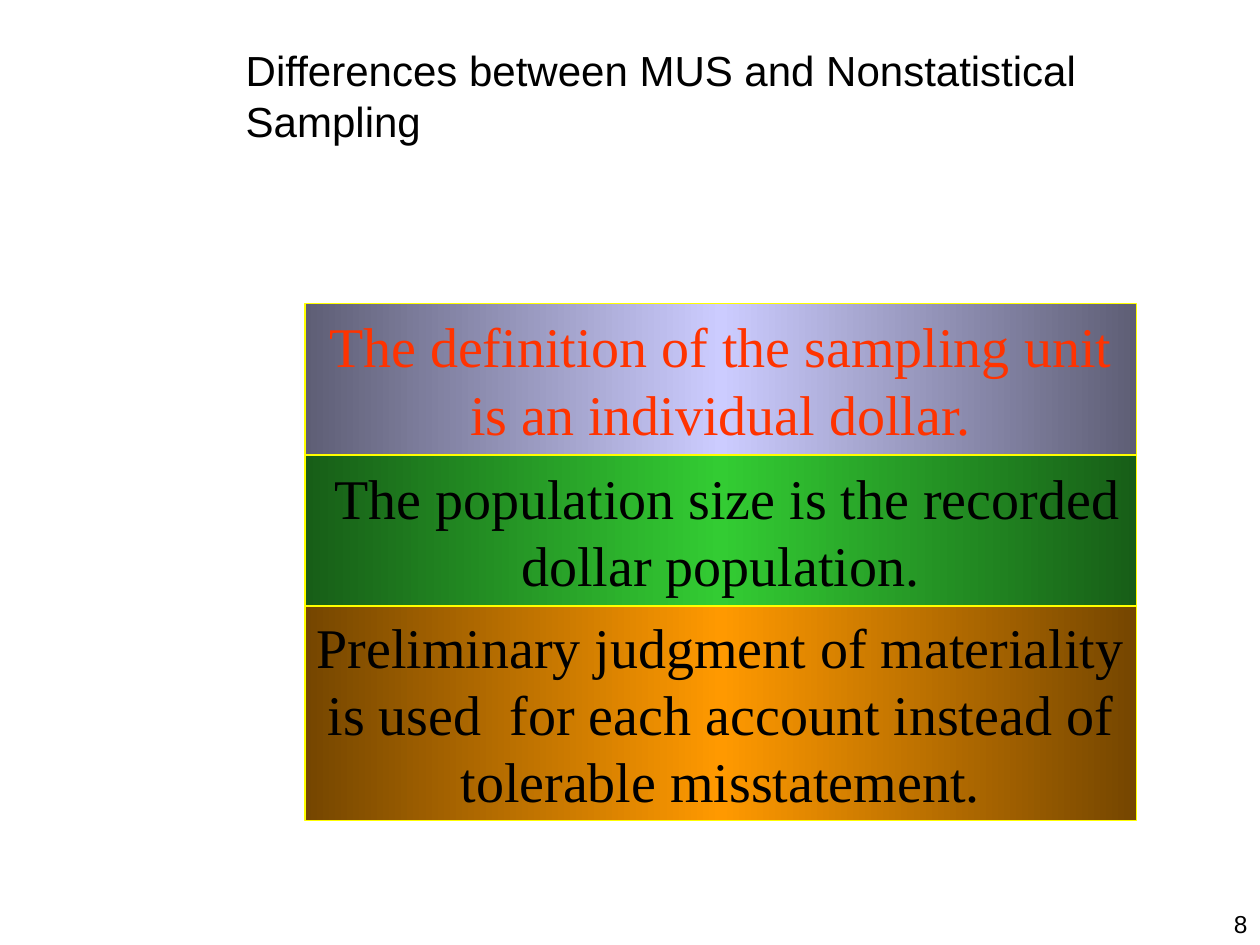
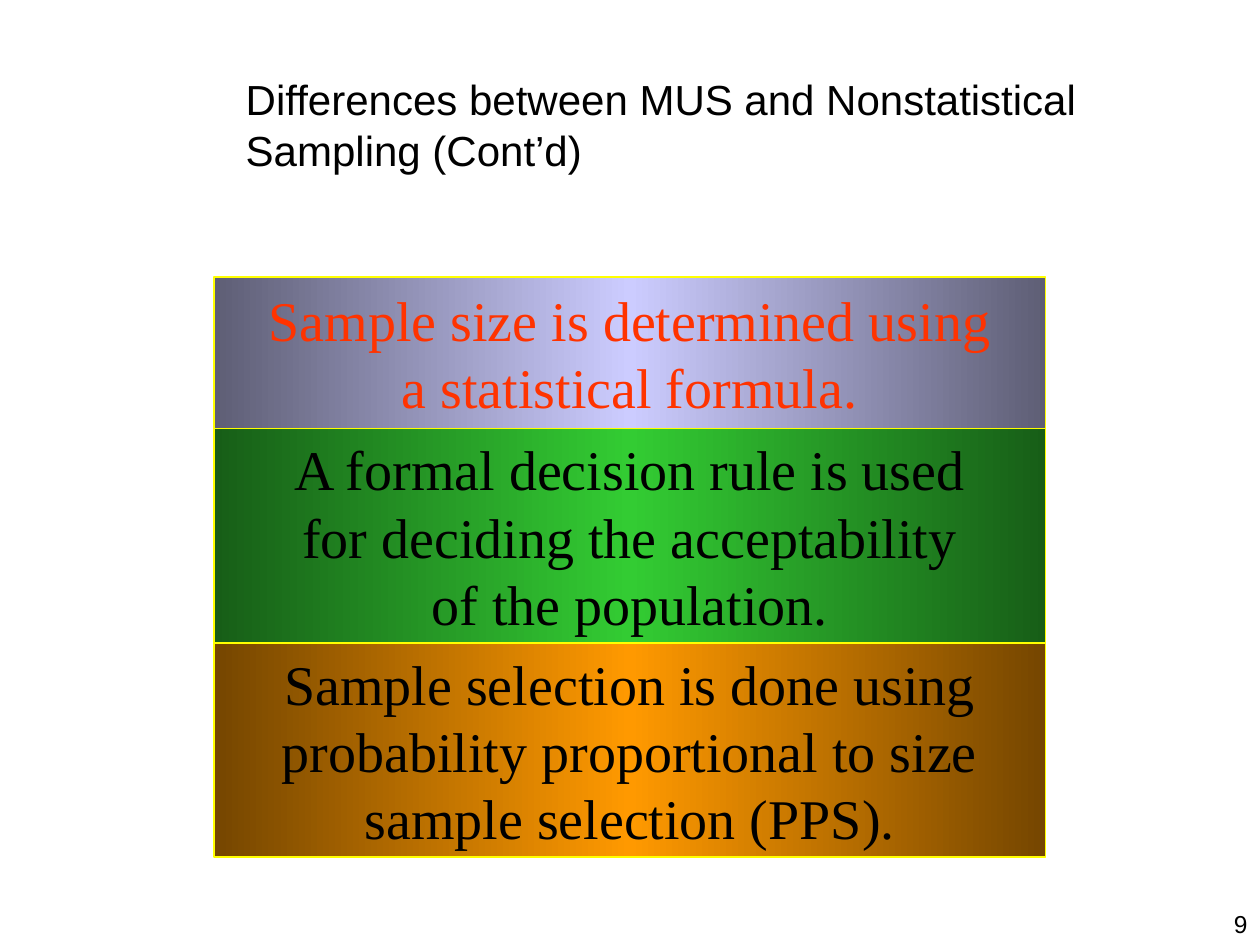
"""Build two slides on how monetary unit sampling differs from nonstatistical sampling."""
import copy

import pptx
import pptx.dml.color
import pptx.enum.shapes
import pptx.enum.text
import pptx.oxml.ns
import pptx.util

Cm = pptx.util.Cm
Pt = pptx.util.Pt
PP_ALIGN = pptx.enum.text.PP_ALIGN
MSO_ANCHOR = pptx.enum.text.MSO_ANCHOR

COLORS = {
    "black": "000000",
    "red": "FF3300",
    "border": "FFFF00",
    "lavender": "CCCCFF",
    "lavender_edge": "5E5E75",
    "green": "33CC33",
    "green_edge": "175E17",
    "orange": "FF9900",
    "orange_edge": "754600",
}
BAND_STYLES = [("lavender", "red"), ("green", "black"), ("orange", "black")]
BAND_WIDTH = 16.76
BAND_PADDING = 0.51
BAND_LINE_HEIGHT = 1.27
TITLE_ONLY_LAYOUT = 5

SLIDES = [
    {
        "title": "Differences between MUS and Nonstatistical Sampling",
        "title_box": (4.7, 0.33, 19.18, 3.18),
        "bands_at": (6.15, 6.12),
        "differences": [
            ["The definition of the sampling unit", "is an individual dollar."],
            [" The population size is the recorded", "dollar population."],
            ["Preliminary judgment of materiality",
             "is used  for each account instead of",
             "tolerable misstatement."],
        ],
        "number": "8",
    },
    {
        "title": "Differences between MUS and Nonstatistical Sampling (Cont’d)",
        "title_box": (4.7, 0.91, 19.81, 3.18),
        "bands_at": (4.32, 5.59),
        "differences": [
            ["Sample size is determined using", "a statistical formula."],
            ["A formal decision rule is used",
             "for deciding the acceptability",
             "of the population."],
            ["Sample selection is done using",
             "probability proportional to size",
             "sample selection (PPS)."],
        ],
        "number": "9",
    },
]


def rgb(name):
    """Return the named palette colour."""
    return pptx.dml.color.RGBColor.from_string(COLORS[name])


def write_lines(frame, lines, font, size, color, align):
    """Fill a text frame with one paragraph for each line."""
    for index, line in enumerate(lines):
        paragraph = frame.add_paragraph() if index else frame.paragraphs[0]
        paragraph.alignment = align
        run = paragraph.add_run()
        run.text = line
        run.font.name = font
        run.font.size = Pt(size)
        run.font.color.rgb = rgb(color)


def set_title(slide, text, box):
    """Place and format the title placeholder."""
    title = slide.shapes.title
    title.left, title.top, title.width, title.height = map(Cm, box)
    frame = title.text_frame
    frame.word_wrap = True
    frame.auto_size = pptx.enum.text.MSO_AUTO_SIZE.NONE
    frame.vertical_anchor = MSO_ANCHOR.MIDDLE
    write_lines(frame, [text], "Arial", 24, "black", PP_ALIGN.LEFT)


def shade_band(band, color):
    """Apply a horizontal gradient that is brightest in the middle."""
    band.fill.gradient()
    band.fill.gradient_angle = 0
    stop_list = band.fill._xPr.find(".//" + pptx.oxml.ns.qn("a:gsLst"))
    stop_list.insert(1, copy.deepcopy(stop_list[0]))
    shades = [color + "_edge", color, color + "_edge"]
    for stop, position, shade in zip(band.fill.gradient_stops, (0, 0.5, 1), shades):
        stop.position = position
        stop.color.rgb = rgb(shade)


def add_band(slide, left, top, height, lines, color, text_color):
    """Add one bordered band that states a difference."""
    band = slide.shapes.add_shape(
        pptx.enum.shapes.MSO_SHAPE.RECTANGLE,
        Cm(left), Cm(top), Cm(BAND_WIDTH), Cm(height))
    band.shadow.inherit = False
    shade_band(band, color)
    band.line.color.rgb = rgb("border")
    band.line.width = Pt(1)
    frame = band.text_frame
    frame.word_wrap = False
    frame.vertical_anchor = MSO_ANCHOR.MIDDLE
    write_lines(frame, lines, "Times New Roman", 32, text_color, PP_ALIGN.CENTER)


def add_bands(slide, left, top, differences):
    """Stack the bands, each as tall as its number of lines needs."""
    for lines, (color, text_color) in zip(differences, BAND_STYLES):
        height = BAND_PADDING + BAND_LINE_HEIGHT * len(lines)
        add_band(slide, left, top, height, lines, color, text_color)
        top += height


def add_page_number(slide, number):
    """Add the page number in the bottom right corner."""
    corner = slide.shapes.add_textbox(Cm(20.12), Cm(18.21), Cm(5.28), Cm(0.84))
    corner.text_frame.word_wrap = True
    write_lines(corner.text_frame, [number], "Arial", 14, "black", PP_ALIGN.RIGHT)


def main():
    """Build and save the presentation."""
    deck = pptx.Presentation()
    deck.slide_width, deck.slide_height = Cm(25.4), Cm(19.05)
    for content in SLIDES:
        slide = deck.slides.add_slide(deck.slide_layouts[TITLE_ONLY_LAYOUT])
        set_title(slide, content["title"], content["title_box"])
        add_bands(slide, *content["bands_at"], content["differences"])
        add_page_number(slide, content["number"])
    deck.save("out.pptx")


if __name__ == "__main__":
    main()
